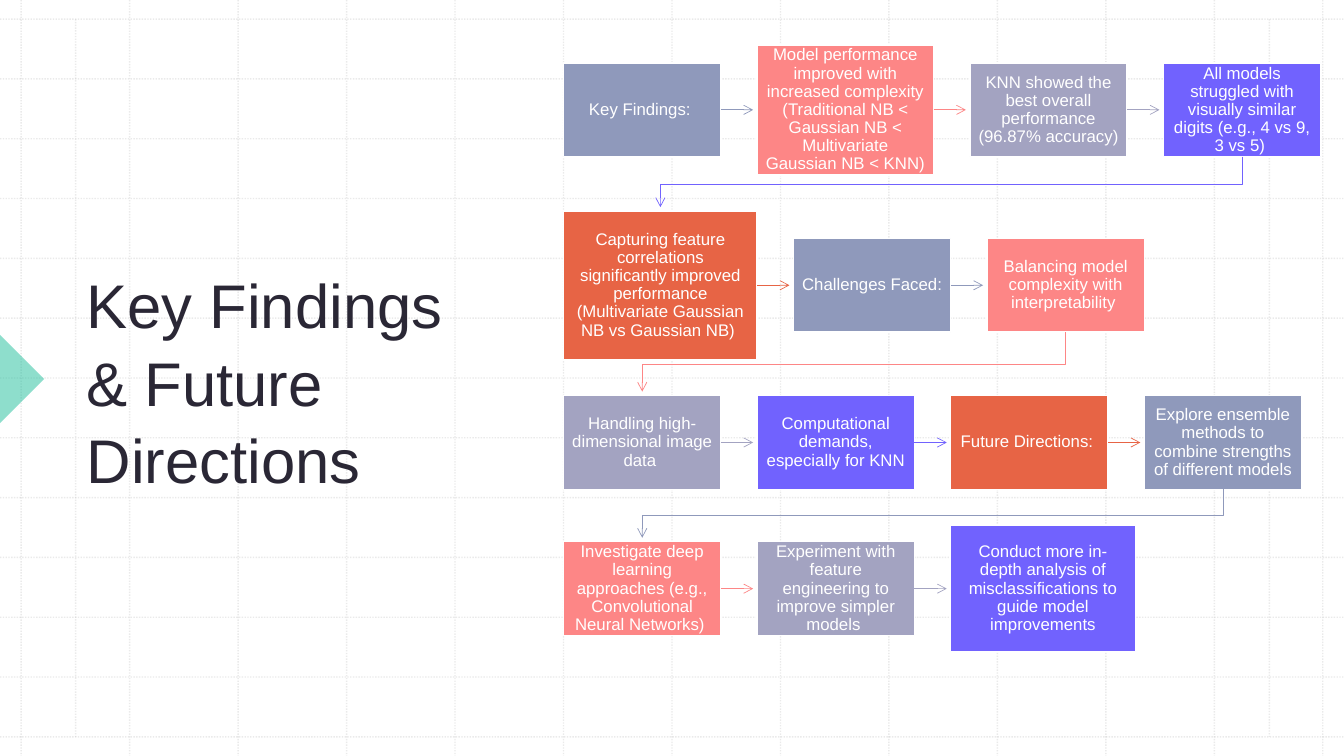
from itertools import cycle

from lxml.etree import SubElement
from pptx import Presentation
from pptx.dml.color import RGBColor
from pptx.enum.dml import MSO_LINE
from pptx.enum.shapes import MSO_CONNECTOR, MSO_SHAPE
from pptx.enum.text import MSO_ANCHOR, PP_ALIGN
from pptx.oxml.ns import qn
from pptx.util import Pt

TITLE = "Key Findings & Future Directions"
BOX_SIZE = (156, 93)
# Rows of the flow: centre line, then (text, size) for each step
ROWS = [
    (109, [
        ("Key Findings: ", BOX_SIZE),
        ("Model performance improved with increased complexity (Traditional NB < "
         "Gaussian NB < Multivariate Gaussian NB < KNN) ", (175, 129)),
        ("KNN showed the best overall performance (96.87% accuracy) ", BOX_SIZE),
        ("All models struggled with visually similar digits (e.g., 4 vs 9, 3 vs 5) ", BOX_SIZE),
    ]),
    (283, [
        ("Capturing feature correlations significantly improved performance "
         "(Multivariate Gaussian NB vs Gaussian NB) ", (192, 147)),
        ("Challenges Faced: ", BOX_SIZE),
        ("Balancing model complexity with interpretability ", BOX_SIZE),
    ]),
    (439, [
        ("Handling high-dimensional image data ", BOX_SIZE),
        ("Computational demands, especially for KNN ", BOX_SIZE),
        ("Future Directions: ", BOX_SIZE),
        ("Explore ensemble methods to combine strengths of different models ", BOX_SIZE),
    ]),
    (584, [
        ("Investigate deep learning approaches (e.g., Convolutional Neural Networks) ", BOX_SIZE),
        ("Experiment with feature engineering to improve simpler models ", BOX_SIZE),
        ("Conduct more in-depth analysis of misclassifications to guide model improvements",
         (183, 125)),
    ]),
]

WHITE = RGBColor(0xFF, 0xFF, 0xFF)
INK = RGBColor(0x2A, 0x27, 0x35)
GRID = RGBColor(0xBC, 0xBC, 0xBC)
TEAL = RGBColor(0x1E, 0xBE, 0x9B)
STEP_COLOURS = [
    RGBColor(0x8F, 0x99, 0xBB),
    RGBColor(0xFD, 0x86, 0x86),
    RGBColor(0xA3, 0xA3, 0xC1),
    RGBColor(0x71, 0x62, 0xFE),
    RGBColor(0xE7, 0x64, 0x45),
]

SLIDE_WIDTH, SLIDE_HEIGHT = 1333, 750
FLOW_LEFT, STEP_GAP = 559, 36
ARROW_STOP = 4  # space between an arrowhead and the next step
ELBOW_DROP = 2  # bend of a row-to-row arrow below its midpoint
GRID_CELLS = 12
GRID_LEFT, GRID_RIGHT, GRID_TOP, GRID_BOTTOM = 21, 1312, 19, 731
MARGINS = (75, 1259)


def px(length):
    """Turn px (100 to the inch) into EMU."""
    return round(length * 9144)


def set_alpha(fill, percent):
    colour = fill._xPr.find(".//" + qn("a:srgbClr"))
    SubElement(colour, qn("a:alpha"), val=str(percent * 1000))


def write_text(shape, text, *, size, colour, align=PP_ALIGN.LEFT, inset=10, spacing=1.0):
    frame = shape.text_frame
    frame.word_wrap = True
    frame.vertical_anchor = MSO_ANCHOR.MIDDLE
    frame.margin_left = frame.margin_right = px(inset)
    frame.margin_top = frame.margin_bottom = px(inset)
    paragraph = frame.paragraphs[0]
    paragraph.alignment = align
    paragraph.line_spacing = spacing
    run = paragraph.add_run()
    run.text = text
    run.font.name = "Arial"
    run.font.size = Pt(size)
    run.font.color.rgb = colour


def add_line(slide, start, end, colour, width):
    connector = slide.shapes.add_connector(
        MSO_CONNECTOR.STRAIGHT, *(px(value) for value in (*start, *end)))
    connector.line.color.rgb = colour
    connector.line.width = Pt(width)
    SubElement(connector._element.spPr, qn("a:effectLst"))
    return connector


def add_grid_line(slide, start, end):
    line = add_line(slide, start, end, GRID, 1).line
    line.dash_style = MSO_LINE.ROUND_DOT
    set_alpha(line.fill, 30)


def add_grid(slide):
    for index in range(GRID_CELLS + 1):
        x = GRID_LEFT + (GRID_RIGHT - GRID_LEFT) * index / GRID_CELLS
        y = GRID_TOP + (GRID_BOTTOM - GRID_TOP) * index / GRID_CELLS
        add_grid_line(slide, (x, 0), (x, SLIDE_HEIGHT))
        add_grid_line(slide, (0, y), (SLIDE_WIDTH, y))
    for x in MARGINS:
        add_grid_line(slide, (x, GRID_TOP), (x, GRID_BOTTOM))


def add_arrowhead(line):
    SubElement(line._get_or_add_ln(), qn("a:tailEnd"), type="arrow")


def add_step(slide, text, left, centre, size, colour):
    width, height = size
    step = slide.shapes.add_shape(
        MSO_SHAPE.RECTANGLE, px(left), px(centre - height / 2), px(width), px(height))
    step.shadow.inherit = False
    step.fill.solid()
    step.fill.fore_color.rgb = colour
    step.line.color.rgb = WHITE
    step.line.width = Pt(1)
    write_text(step, text, size=12, colour=WHITE, align=PP_ALIGN.CENTER, inset=8, spacing=0.9)
    return step


def add_row_arrow(slide, start, end, colour):
    """Lead from the foot of a row's last step to the head of the next row."""
    (start_x, start_y), (end_x, end_y) = start, end
    bend = (start_y + end_y) / 2 + ELBOW_DROP
    builder = slide.shapes.build_freeform(px(start_x), px(start_y))
    corners = [(start_x, bend), (end_x, bend), end]
    builder.add_line_segments([(px(x), px(y)) for x, y in corners], close=False)
    arrow = builder.convert_to_shape()
    arrow.shadow.inherit = False
    arrow.fill.background()
    arrow.line.color.rgb = colour
    arrow.line.width = Pt(0.5)
    add_arrowhead(arrow.line)


def add_flow(slide):
    colours = cycle(STEP_COLOURS)
    row_exit = None
    for centre, steps in ROWS:
        left, previous = FLOW_LEFT, None
        for text, (width, height) in steps:
            if previous:
                arrow = add_line(slide, (left - STEP_GAP, centre), (left - ARROW_STOP, centre),
                                 colour, 0.5)
                arrow.begin_connect(previous, 3)
                add_arrowhead(arrow.line)
            elif row_exit:
                entry = (left + width / 2, centre - height / 2 - ARROW_STOP)
                add_row_arrow(slide, row_exit, entry, colour)
            colour = next(colours)
            previous = add_step(slide, text, left, centre, (width, height), colour)
            row_exit = (left + width / 2, centre + height / 2)
            left += width + STEP_GAP


def main():
    presentation = Presentation()
    presentation.slide_width = px(SLIDE_WIDTH)
    presentation.slide_height = px(SLIDE_HEIGHT)
    slide = presentation.slides.add_slide(presentation.slide_layouts[6])
    add_grid(slide)

    marker = slide.shapes.add_shape(
        MSO_SHAPE.RIGHT_TRIANGLE, px(-31), px(345), px(62), px(62))
    marker.rotation = 225
    marker.shadow.inherit = False
    marker.fill.solid()
    marker.fill.fore_color.rgb = TEAL
    set_alpha(marker.fill, 50)
    marker.line.fill.background()

    title = slide.shapes.add_textbox(px(76), px(79), px(375), px(595))
    write_text(title, TITLE, size=44, colour=INK, spacing=1.05)
    add_flow(slide)
    presentation.save("out.pptx")


if __name__ == "__main__":
    main()
